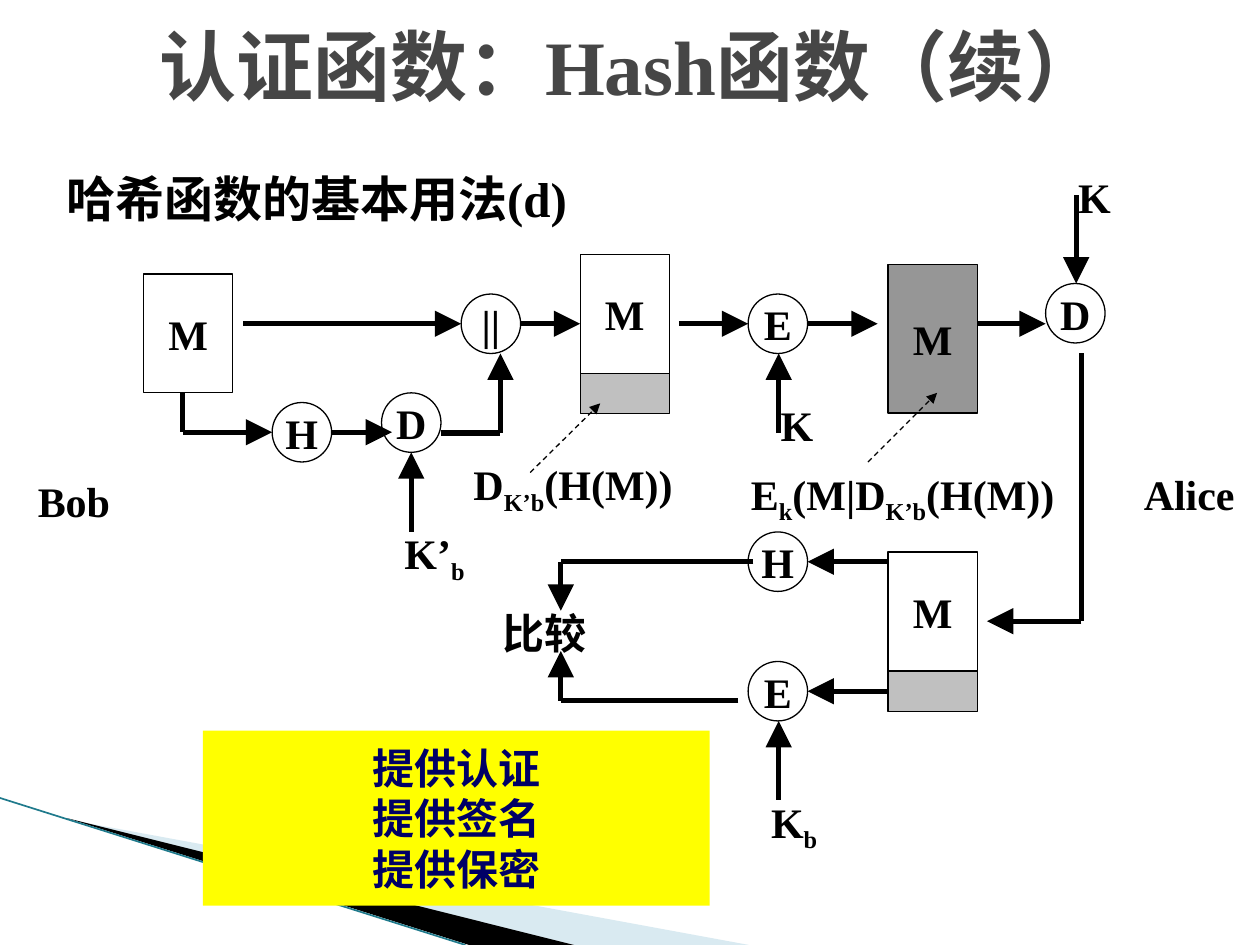
from typing import NamedTuple

from lxml import etree
from pptx import Presentation
from pptx.dml.color import RGBColor
from pptx.enum.dml import MSO_LINE
from pptx.enum.shapes import MSO_CONNECTOR, MSO_SHAPE
from pptx.enum.text import MSO_ANCHOR, PP_ALIGN
from pptx.oxml.ns import qn
from pptx.util import Pt

RECT, OVAL = MSO_SHAPE.RECTANGLE, MSO_SHAPE.OVAL
STRAIGHT = MSO_CONNECTOR.STRAIGHT
DASH = MSO_LINE.DASH
MIDDLE, TOP = MSO_ANCHOR.MIDDLE, MSO_ANCHOR.TOP
LEFT, CENTER = PP_ALIGN.LEFT, PP_ALIGN.CENTER
FONT = "Times New Roman"
BLACK, WHITE, SILVER, GRAY = "000000", "FFFFFF", "C0C0C0", "969696"
DIAMETER, BLOCK_W, TAG_H, LABEL_H = 34, 51, 23, 36


class Node(NamedTuple):
    text: str
    x: float
    y: float


class Block(NamedTuple):
    text: str
    x: float
    y: float
    h: float
    fill: str


class Label(NamedTuple):
    texts: tuple[str, ...]
    x: float
    y: float
    w: float


class Route(NamedTuple):
    points: tuple[tuple[float, float], ...]
    width: float = 3
    dashed: bool = False


def rgb(value: str) -> RGBColor:
    return RGBColor.from_string(value)


def add_run(p, text: str, size: float, color: str, subscript: bool = False) -> None:
    r = p.add_run()
    r.text = text
    r.font.name = FONT
    r.font.size = Pt(size)
    r.font.bold = True
    r.font.color.rgb = rgb(color)
    if subscript:
        r.font._element.set("baseline", "-25000")


def add_text(s, texts, x: float, y: float, w: float, h: float, size: float = 24,
             color: str = BLACK, align=LEFT, anchor=TOP) -> None:
    tf = s.shapes.add_textbox(Pt(x), Pt(y), Pt(w), Pt(h)).text_frame
    tf.word_wrap = True
    tf.vertical_anchor = anchor
    p = tf.paragraphs[0]
    p.alignment = align
    for i, text in enumerate(texts):
        add_run(p, text, size, color, subscript=i % 2 == 1)


def add_box(s, kind, x: float, y: float, w: float, h: float, fill: str,
            lines=(), color: str = BLACK, outlined: bool = True):
    sp = s.shapes.add_shape(kind, Pt(x), Pt(y), Pt(w), Pt(h))
    sp.shadow.inherit = False
    sp.fill.solid()
    sp.fill.fore_color.rgb = rgb(fill)
    if outlined:
        sp.line.color.rgb = rgb(BLACK)
        sp.line.width = Pt(0.75)
    else:
        sp.line.fill.background()
    tf = sp.text_frame
    tf.word_wrap = False
    tf.vertical_anchor = MIDDLE
    for i, line in enumerate(lines):
        p = tf.add_paragraph() if i else tf.paragraphs[0]
        p.alignment = CENTER
        add_run(p, line, 24, color)
    return sp


def add_line(s, start, end, width: float = 3, color: str = BLACK,
             arrow: bool = False, dashed: bool = False):
    c = s.shapes.add_connector(STRAIGHT, *(Pt(v) for v in (*start, *end)))
    c.line.width = Pt(width)
    c.line.color.rgb = rgb(color)
    if dashed:
        c.line.dash_style = DASH
    if arrow:
        size = "med" if dashed else "lg"
        etree.SubElement(c._element.spPr.find(qn("a:ln")), qn("a:tailEnd"),
                         type="triangle", w=size, len=size)
    etree.SubElement(c._element.spPr, qn("a:effectLst"))
    return c


def add_route(s, route: Route) -> None:
    legs = list(zip(route.points, route.points[1:]))
    for i, (start, end) in enumerate(legs, 1):
        add_line(s, start, end, route.width, arrow=i == len(legs), dashed=route.dashed)


def add_wedge(s, points, color: str) -> None:
    builder = s.shapes.build_freeform(Pt(points[0][0]), Pt(points[0][1]), scale=1.0)
    builder.add_line_segments([(Pt(x), Pt(y)) for x, y in points[1:]], close=True)
    sp = builder.convert_to_shape()
    sp.shadow.inherit = False
    sp.fill.solid()
    sp.fill.fore_color.rgb = rgb(color)
    sp.line.fill.background()


NODES = [
    Node("||", 263.5, 168), Node("H", 155.5, 230), Node("D", 218, 224.5),
    Node("E", 427.5, 168), Node("D", 597.5, 162), Node("H", 427.5, 304),
    Node("E", 427.5, 378),
]
BLOCKS = [
    Block("M", 82, 156.5, 68, WHITE), Block("M", 331.5, 145.5, 68, WHITE),
    Block("M", 507.5, 151, 85, GRAY), Block("M", 507.5, 315.5, 68, WHITE),
]
LABELS = [
    Label(("K",), 439, 225, 51), Label(("K",), 609, 94.5, 51),
    Label(("K’", "b"), 224, 298, 51), Label(("K", "b"), 433.5, 451.5, 51),
    Label(("D", "K’b", "(H(M))"), 263.5, 258.5, 153),
    Label(("E", "k", "(M|D", "K’b", "(H(M))"), 422, 264, 199),
    Label(("比较",), 280, 343.5, 68),
    Label(("Bob",), 14.5, 268, 102), Label(("Alice",), 646.5, 264, 73.5),
]
ROUTES = [
    Route(((139, 185), (263.5, 185))),
    Route(((297.5, 185), (331.5, 185))),
    Route(((388, 185), (427.5, 185))),
    Route(((461.5, 185), (501.5, 185))),
    Route(((558.5, 185), (597.5, 185))),
    Route(((615, 111.5), (615, 162))),
    Route(((104.5, 224.5), (104.5, 247), (155.5, 247))),
    Route(((189.5, 247), (224, 247))),
    Route(((252, 247.5), (286, 247.5), (286, 202))),
    Route(((235, 304), (235, 258.5))),
    Route(((445, 247.5), (445, 202))),
    Route(((445, 457), (445, 412))),
    Route(((618, 202), (618, 355), (564, 355))),
    Route(((507.5, 321), (461.5, 321))),
    Route(((430.5, 321), (320.5, 321), (320.5, 349))),
    Route(((422, 400.5), (320.5, 400.5), (320.5, 372))),
    Route(((303, 270), (343, 230.5)), 0.75, True),
    Route(((496, 264), (535.5, 224.5)), 0.75, True),
]


def main() -> None:
    prs = Presentation()
    prs.slide_width, prs.slide_height = Pt(720), Pt(540)
    s = prs.slides.add_slide(prs.slide_layouts[6])

    add_wedge(s, [(39.5, 468.5), (428, 540), (328, 540)], "D9EAF1")
    add_wedge(s, [(38, 467.5), (328, 540), (268, 540)], BLACK)
    add_line(s, (0, 456), (266, 540), 0.95, "1F7A8C")

    add_text(s, ["认证函数：Hash函数（续）"], 14.5, 3.5, 692, 67, 44, "464646", CENTER, MIDDLE)
    add_text(s, ["哈希函数的基本用法(d)"], 31, 83, 544, 60.5, 28, anchor=MIDDLE)
    add_box(s, RECT, 116, 417.5, 289.5, 100, "FFFF00",
            ["提供认证", "提供签名", "提供保密"], "000066", outlined=False)

    for b in BLOCKS:
        add_box(s, RECT, b.x, b.y, BLOCK_W, b.h, b.fill, [b.text])
    _, tag = [add_box(s, RECT, b.x, b.y + b.h, BLOCK_W, TAG_H, SILVER)
              for b in (BLOCKS[1], BLOCKS[3])]
    for n in NODES:
        add_box(s, OVAL, n.x, n.y, DIAMETER, DIAMETER, WHITE, [n.text])
    for route in ROUTES:
        add_route(s, route)
    add_line(s, (507.5, 395), (461.5, 395), arrow=True).begin_connect(tag, 1)
    for label in LABELS:
        add_text(s, label.texts, label.x, label.y, label.w, LABEL_H)

    prs.save("out.pptx")


if __name__ == "__main__":
    main()
